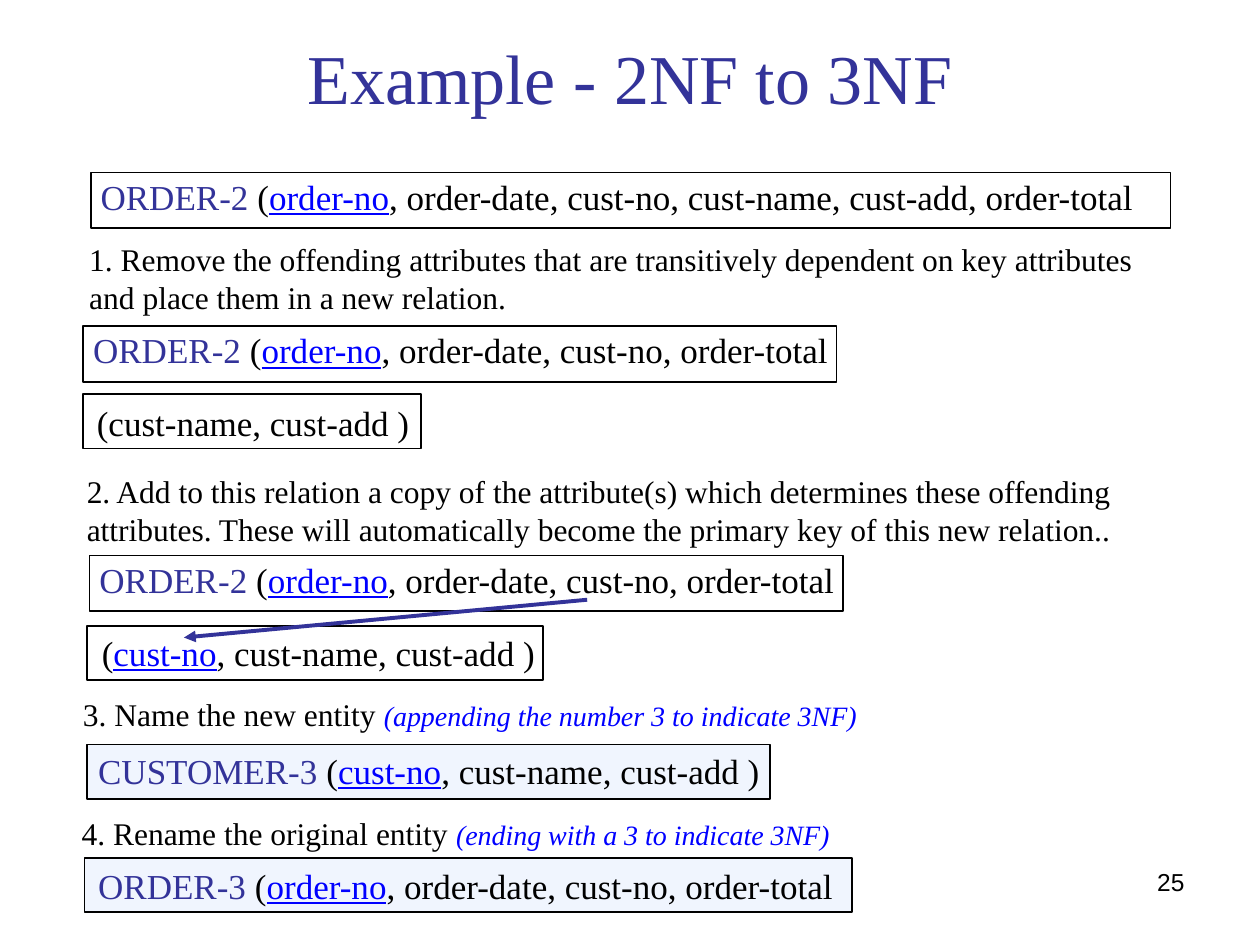
from lxml.etree import SubElement
from pptx import Presentation
from pptx.dml.color import RGBColor
from pptx.enum.shapes import MSO_CONNECTOR as Connector, MSO_SHAPE as Shape
from pptx.enum.text import MSO_ANCHOR as Anchor, MSO_AUTO_SIZE as AutoSize, PP_ALIGN as Align
from pptx.oxml.ns import qn
from pptx.util import Emu, Pt

PX = 9144  # 100 px to the inch

THEME = {
    "serif": "Times New Roman",
    "sans": "Arial",
    "black": RGBColor(0x00, 0x00, 0x00),
    "indigo": RGBColor(0x33, 0x33, 0x99),
    "white": RGBColor(0xFF, 0xFF, 0xFF),
    "pale": RGBColor(0xF0, 0xF5, 0xFE),
    "blue": RGBColor(0x00, 0x00, 0xFF),
}
# Run styles: size, colour, underline, italic
STYLES = {
    "title": (40, "indigo", False, False),
    "entity": (20, "indigo", False, False),
    "plain": (20, "black", False, False),
    "key": (20, "blue", True, False),
    "step": (18, "black", False, False),
    "note": (16, "blue", False, True),
    "number": (14, "black", False, False),
}

presentation = Presentation()
presentation.slide_width, presentation.slide_height = Emu(1000 * PX), Emu(750 * PX)
slide = presentation.slides.add_slide(presentation.slide_layouts[6])


def add_text(box, runs, wrap=True, font="serif", align=Align.LEFT, fit=True):
    text_box = slide.shapes.add_textbox(*(Emu(value * PX) for value in box))
    frame = text_box.text_frame
    frame.word_wrap = wrap
    frame.auto_size = AutoSize.SHAPE_TO_FIT_TEXT if fit else AutoSize.NONE
    paragraph = frame.paragraphs[0]
    paragraph.alignment = align
    paragraph.font.name = THEME[font]
    for text, style in runs:
        size, color, underline, italic = STYLES[style]
        run = paragraph.add_run()
        run.text = text
        run.font.size = Pt(size)
        run.font.color.rgb = THEME[color]
        if underline:
            run.font.underline = True
        if italic:
            run.font.italic = True
    return frame


def add_relation(frame_box, text_box, entity, key, attributes, fill="white", wrap=True):
    shape = slide.shapes.add_shape(Shape.RECTANGLE, *(Emu(value * PX) for value in frame_box))
    shape.shadow.inherit = False
    shape.fill.solid()
    shape.fill.fore_color.rgb = THEME[fill]
    shape.line.color.rgb = THEME["black"]
    shape.line.width = Pt(1)
    opening = " (" if entity else "("
    runs = [(entity, "entity"), (opening, "plain"), (key, "key"), (attributes, "plain")]
    add_text(text_box, [run for run in runs if run[0]], wrap)


# Title and slide number
title = add_text((0, 0, 1000, 121), [("Example - 2NF to 3NF", "title")], align=Align.CENTER, fit=False)
title.vertical_anchor = Anchor.MIDDLE
add_text((717, 683, 233, 52), [("25", "number")], font="sans", align=Align.RIGHT, fit=False)

# Numbered steps
add_text((61, 186, 869, 70), [
    ("1. Remove the offending attributes that are transitively dependent on key attributes "
     "and place them in a new relation.", "step")])
add_text((59, 370, 889, 70), [
    ("2. Add to this relation a copy of the attribute(s) which determines these offending "
     "attributes. These will automatically become the primary key of this new relation..", "step")])
naming = add_text((56, 550, 634, 37), [
    ("3. Name the new entity ", "step"),
    ("(appending the number 3 to indicate 3NF)", "note")], wrap=False)
naming.paragraphs[0].line_spacing = 0.9
add_text((55, 641, 614, 40), [
    ("4. Rename the original entity ", "step"),
    ("(ending with a 3 to indicate 3NF)", "note")], wrap=False)

# Framed relations
order_attributes = ", order-date, cust-no, order-total"
customer_attributes = ", cust-name, cust-add )"
add_relation((72, 137, 857, 44), (70, 134, 876, 44), "ORDER-2", "order-no",
             ", order-date, cust-no, cust-name, cust-add, order-total")
add_relation((66, 313, 268, 43), (67, 314, 268, 44), "", "", "cust-name, cust-add )", wrap=False)
add_relation((66, 259, 598, 44), (64, 256, 611, 44), "ORDER-2", "order-no", order_attributes)
add_relation((69, 497, 362, 43), (71, 496, 364, 44), "", "cust-no", customer_attributes, wrap=False)
add_relation((71, 441, 598, 44), (69, 438, 611, 44), "ORDER-2", "order-no", order_attributes)
add_relation((69, 591, 542, 43), (68, 590, 545, 44), "CUSTOMER-3", "cust-no", customer_attributes,
             "pale", wrap=False)
add_relation((67, 681, 609, 43), (68, 681, 611, 44), "ORDER-3", "order-no", order_attributes, "pale")

# Arrow from the copied attribute to the new key
arrow = slide.shapes.add_connector(
    Connector.STRAIGHT, *(Emu(value * PX) for value in (146, 506, 466, 476)))
arrow.line.color.rgb = THEME["indigo"]
arrow.line.width = Pt(2.25)
SubElement(arrow.line._get_or_add_ln(), qn("a:headEnd"), type="triangle")
SubElement(arrow._element.spPr, qn("a:effectLst"))

presentation.save("out.pptx")
